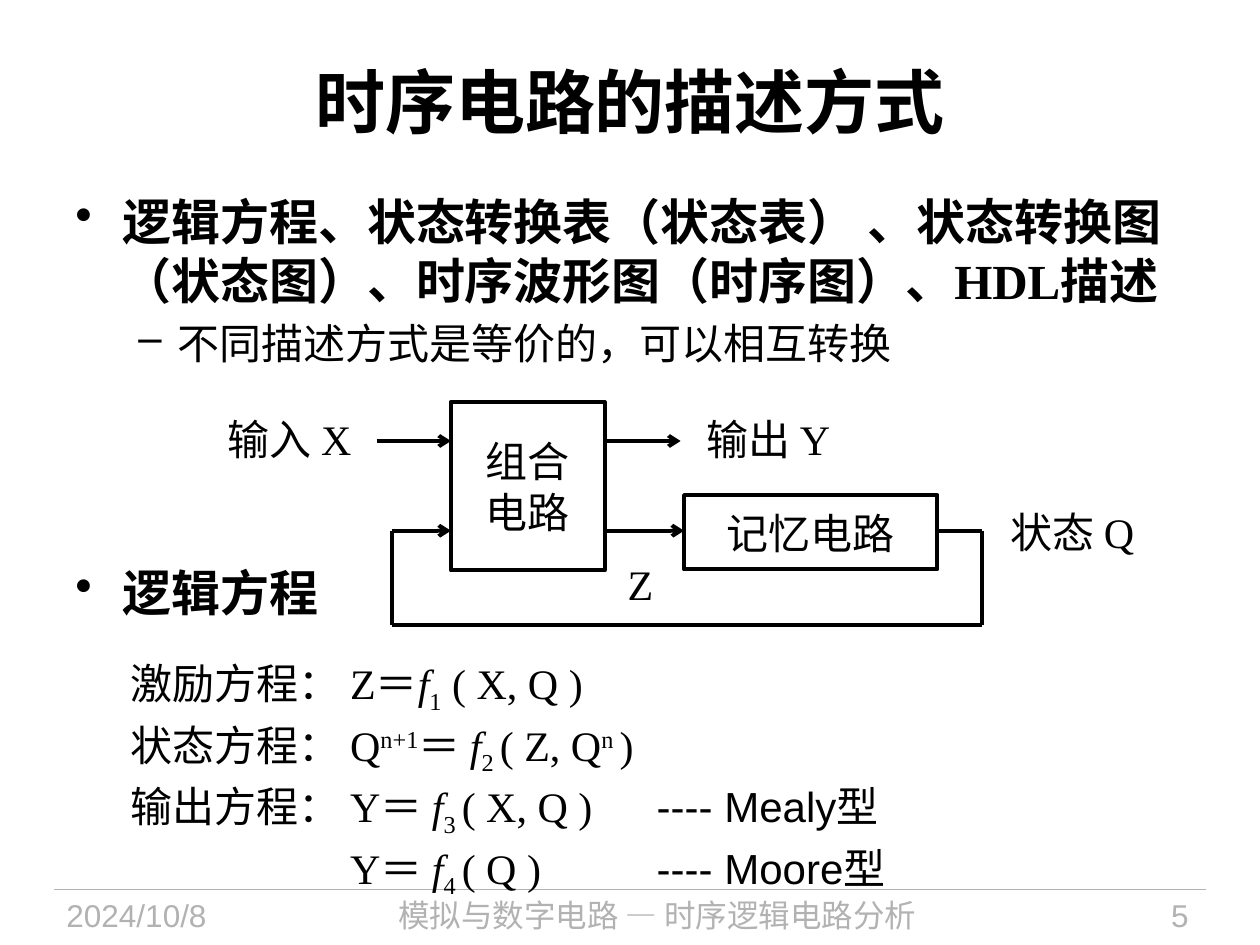
from lxml import etree
from pptx import Presentation
from pptx import util as u
from pptx.dml.color import RGBColor
from pptx.enum import shapes, text
from pptx.oxml.ns import qn

BLACK, GRAY = "000000", "B2B2B2"
SERIF, SANS, CJK = "Times New Roman", "Arial", "Noto Sans CJK SC"
LEFT, CENTER, RIGHT = text.PP_ALIGN.LEFT, text.PP_ALIGN.CENTER, text.PP_ALIGN.RIGHT
TOP, MIDDLE = text.MSO_ANCHOR.TOP, text.MSO_ANCHOR.MIDDLE

# Content; places are left, top, width, height in cm
TITLE = "时序电路的描述方式"
# text, bullet, size, bold, left margin, hanging indent (cm), space before (pt)
BULLETS = [
    ("逻辑方程、状态转换表（状态表） 、状态转换图（状态图）、时序波形图（时序图）、HDL描述",
     "•", 28, True, 0.95, 0.95, 0),
    ("不同描述方式是等价的，可以相互转换", "–", 24, False, 2.06, 0.79, 5),
    ("逻辑方程", "•", 28, True, 0.95, 0.95, 111),
]
FOOTER = [
    ("2024/10/8", 1.09, 4.78, LEFT, SANS),
    ("模拟与数字电路 — 时序逻辑电路分析", 6.1, 14.3, CENTER, CJK),
    ("5", 20.83, 3.38, RIGHT, SANS),
]
FOOTER_TOP, FOOTER_HEIGHT = 17.93, 1.12

BLOCKS = [
    (["组合", "电路"], (9.09, 8.1, 3.1, 3.4)),
    (["记忆电路"], (13.79, 9.98, 5.11, 1.5)),
]
LABELS = [
    ("输入 X", (4.19, 7.82, 3.3, 2.03)),
    ("输出 Y", (13.89, 7.82, 3.2, 2.03)),
    ("状态 Q", (20.02, 9.7, 3.2, 2.03)),
    ("Z", (12.4, 11.13, 1.02, 1.27)),
]
# Signal rows and the feedback loop's sides
UPPER, LOWER, LOOP_LEFT, LOOP_RIGHT, LOOP_BOTTOM = 8.89, 10.7, 7.9, 19.8, 12.6
ARROWS = [
    (7.59, UPPER, 9.09, UPPER),
    (12.2, UPPER, 13.72, UPPER),
    (12.2, LOWER, 13.79, LOWER),
    (LOOP_LEFT, LOWER, 9.09, LOWER),
]
WIRES = [
    (18.9, LOWER, LOOP_RIGHT, LOWER),
    (LOOP_RIGHT, LOWER, LOOP_RIGHT, LOOP_BOTTOM),
    (LOOP_RIGHT, LOOP_BOTTOM, LOOP_LEFT, LOOP_BOTTOM),
    (LOOP_LEFT, LOOP_BOTTOM, LOOP_LEFT, LOWER),
]

# label, spans of (text, style), remark
EQUATIONS = [
    ("激励方程：", [("Z＝", ""), ("f", "italic"), ("1", "sub"), (" ( X, Q )", "")], None),
    ("状态方程：", [("Q", ""), ("n+1", "sup"), ("＝ ", ""), ("f", "italic"), ("2 ", "sub"),
               ("( Z, Q", ""), ("n ", "sup"), (")", "")], None),
    ("输出方程：", [("Y＝ ", ""), ("f", "italic"), ("3 ", "sub"), ("( X, Q )", "")], "Mealy型"),
    ("", [("Y＝ ", ""), ("f", "italic"), ("4 ", "sub"), ("( Q )", "")], "Moore型"),
]
EQUATION_TABS = [4.42, 10.6]
BASELINES = {"sub": "-25000", "sup": "30000"}


def color(value):
    return RGBColor.from_string(value)


def style(font, size, name, value=BLACK, bold=False):
    font.size, font.name, font.bold = u.Pt(size), name, bold
    font.color.rgb = color(value)


def cm(values):
    return [u.Cm(value) for value in values]


def set_frame(box, anchor=TOP, wrap=True, inset=True):
    frame = box.text_frame
    frame.word_wrap, frame.vertical_anchor = wrap, anchor
    if not inset:
        frame.margin_left = frame.margin_right = frame.margin_top = frame.margin_bottom = 0
    return frame


def write(frame, lines, size, name, value=BLACK, align=CENTER, bold=False):
    frame.text = "\n".join(lines)
    for para in frame.paragraphs:
        para.alignment = align
        style(para.font, size, name, value, bold)


def add_line(parent, ends, width, value=BLACK, arrow=False):
    line = parent.add_connector(shapes.MSO_CONNECTOR.STRAIGHT, *cm(ends))
    line.line.width, line.line.color.rgb = u.Pt(width), color(value)
    if arrow:
        etree.SubElement(line.line._get_or_add_ln(), qn("a:tailEnd"), type="arrow")
    etree.SubElement(line._element.spPr, qn("a:effectLst"))


def add_span(para, words, name, kind=""):
    span = para.add_run()
    span.text = words
    span.font.name = name
    span.font.italic = kind == "italic"
    if kind in BASELINES:
        span._r.get_or_add_rPr().set("baseline", BASELINES[kind])


deck = Presentation()
deck.slide_width, deck.slide_height = u.Cm(25.4), u.Cm(19.05)
page = deck.slides.add_slide(deck.slide_layouts[6])

# Footer
add_line(page.shapes, (1.09, FOOTER_TOP, 24.31, FOOTER_TOP), 0.75, GRAY)
for words, left, width, align, name in FOOTER:
    box = page.shapes.add_textbox(*cm((left, FOOTER_TOP, width, FOOTER_HEIGHT)))
    write(set_frame(box), [words], 18, name, GRAY, align)

# Title
box = page.shapes.add_textbox(*cm((1.27, 0.43, 22.86, 3.18)))
write(set_frame(box, MIDDLE), [TITLE], 40, SERIF, bold=True)

# Bulleted text
box = page.shapes.add_textbox(*cm((1.27, 3.73, 22.86, 14)))
frame = set_frame(box)
frame.text = "\n".join(bullet[0] for bullet in BULLETS)
for para, (_, mark, size, bold, margin, hang, gap) in zip(frame.paragraphs, BULLETS):
    para.space_before = u.Pt(gap)
    style(para.font, size, SERIF, bold=bold)
    props = para._p.get_or_add_pPr()
    props.set("marL", str(u.Cm(margin)))
    props.set("indent", str(-u.Cm(hang)))
    bullet = etree.Element(qn("a:buChar"), char=mark)
    props.find(qn("a:defRPr")).addprevious(bullet)

# Block diagram
diagram = page.shapes.add_group_shape().shapes
for lines, place in BLOCKS:
    block = diagram.add_shape(shapes.MSO_SHAPE.RECTANGLE, *cm(place))
    block.shadow.inherit = False
    block.fill.background()
    block.line.width, block.line.color.rgb = u.Pt(2.25), color(BLACK)
    write(set_frame(block, MIDDLE, False, False), lines, 24, SANS)
for words, place in LABELS:
    label = diagram.add_textbox(*cm(place))
    write(set_frame(label, MIDDLE, False, False), [words], 24, SERIF)
for ends in WIRES:
    add_line(diagram, ends, 2.25)
for ends in ARROWS:
    add_line(diagram, ends, 2.25, arrow=True)

# Equations, aligned on tab stops
box = page.shapes.add_textbox(*cm((2.39, 13.13, 20.09, 4.9)))
frame = set_frame(box)
for index, (label, spans, remark) in enumerate(EQUATIONS):
    para = frame.add_paragraph() if index else frame.paragraphs[0]
    para.space_before = u.Pt(2.4)
    style(para.font, 24, SERIF)
    tabs = etree.Element(qn("a:tabLst"))
    for stop in EQUATION_TABS:
        etree.SubElement(tabs, qn("a:tab"), pos=str(u.Cm(stop)), algn="l")
    para._p.get_or_add_pPr().find(qn("a:defRPr")).addprevious(tabs)
    add_span(para, label + "\t", SANS)
    for words, kind in spans:
        add_span(para, words, SERIF, kind)
    if remark:
        add_span(para, "\t---- " + remark, SANS)

deck.save("out.pptx")
